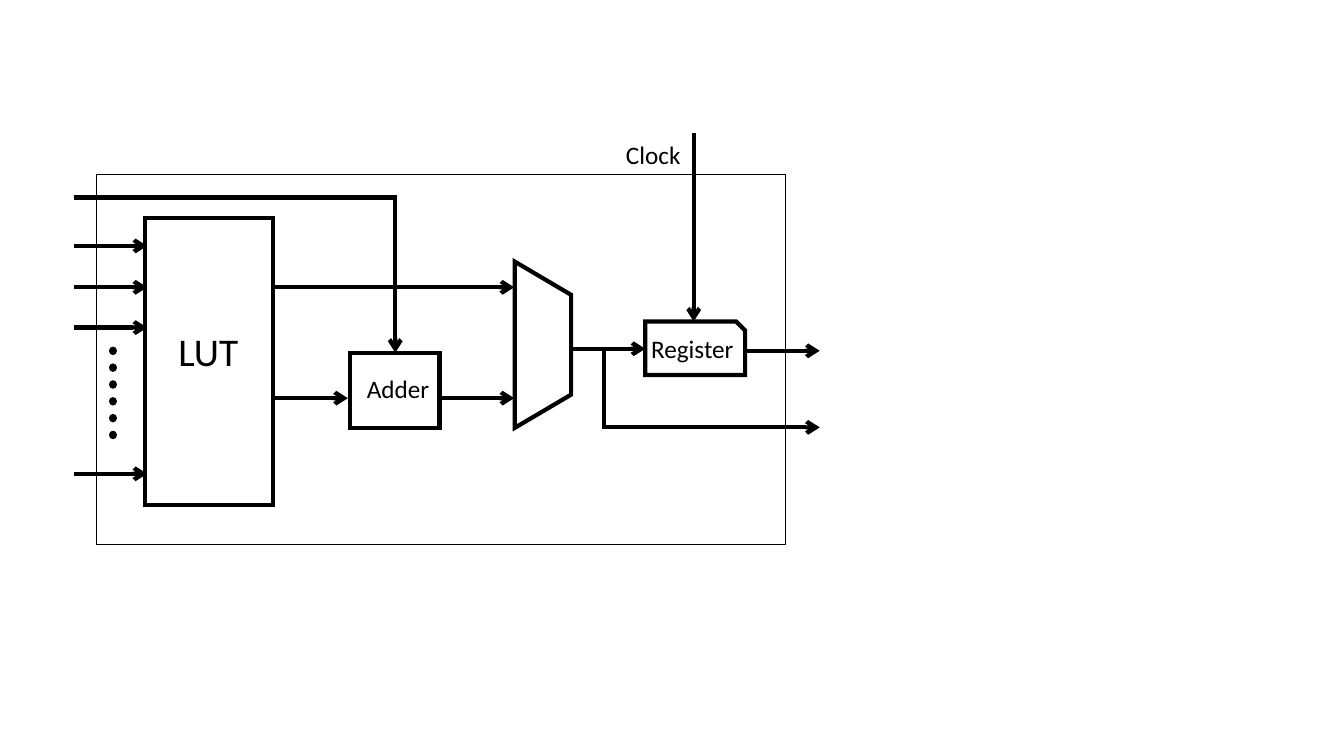
"""Draw a logic cell: LUT, adder, multiplexer and register."""
import pptx
import pptx.dml.color
import pptx.enum.dml
import pptx.enum.shapes
import pptx.enum.text
import pptx.oxml.ns
import pptx.util
from lxml import etree

COLORS = {"ink": "000000"}
SHAPE = pptx.enum.shapes.MSO_SHAPE
CONNECTOR = pptx.enum.shapes.MSO_CONNECTOR
qn = pptx.oxml.ns.qn


class Diagram:
    """Hold the style and the slide; lengths are grid cells of a tenth of an inch."""

    cell = 0.1
    font = "Calibri"
    stroke = 3

    def __init__(self, prs):
        self.slide = prs.slides.add_slide(prs.slide_layouts[6])
        self.ink = pptx.dml.color.RGBColor.from_string(COLORS["ink"])

    def grid(self, *cells):
        return [pptx.util.Inches(n * self.cell) for n in cells]

    def pen(self, sp, width):
        sp.line.color.rgb = self.ink
        sp.line.width = pptx.util.Pt(width)
        return sp.line._get_or_add_ln()

    def box(self, kind, col, row, cols, rows, width=stroke, rotation=0):
        sp = self.slide.shapes.add_shape(kind, *self.grid(col, row, cols, rows))
        sp.shadow.inherit = False
        sp.fill.background()
        sp.rotation = rotation
        etree.SubElement(self.pen(sp, width), qn("a:miter"), lim="800000")

    def label(self, text, col, row, cols, rows, size=18):
        sp = self.slide.shapes.add_textbox(*self.grid(col, row, cols, rows))
        tf = sp.text_frame
        tf.word_wrap = False
        tf.auto_size = pptx.enum.text.MSO_AUTO_SIZE.SHAPE_TO_FIT_TEXT
        r = tf.paragraphs[0].add_run()
        r.text = text
        r.font.name = self.font
        r.font.size = pptx.util.Pt(size)
        r.font.color.rgb = self.ink

    def connector(self, kind, start, end, width=stroke):
        sp = self.slide.shapes.add_connector(kind, *self.grid(*start, *end))
        ln = self.pen(sp, width)
        etree.SubElement(sp._element.spPr, qn("a:effectLst"))
        return sp, ln

    def arrow(self, start, end, kind=CONNECTOR.STRAIGHT):
        sp, ln = self.connector(kind, start, end)
        etree.SubElement(ln, qn("a:miter"), lim="800000")
        etree.SubElement(ln, qn("a:tailEnd"), type="arrow")
        return sp._element.spPr.find(qn("a:prstGeom"))

    def corner_arrow(self, start, end):
        self.arrow(start, end, CONNECTOR.ELBOW).set("prst", "bentConnector2")

    def step_arrow(self, start, end, share):
        geom = self.arrow(start, end, CONNECTOR.ELBOW)
        guides = geom.find(qn("a:avLst"))
        if guides is None:
            guides = etree.SubElement(geom, qn("a:avLst"))
        etree.SubElement(guides, qn("a:gd"), name="adj1", fmla=f"val {round(share * 100000)}")

    def dots(self, start, end, width):
        sp, ln = self.connector(CONNECTOR.STRAIGHT, start, end, width)
        sp.line.dash_style = pptx.enum.dml.MSO_LINE.ROUND_DOT
        ln.set("cap", "rnd")


def main():
    prs = pptx.Presentation()
    prs.slide_width = pptx.util.Inches(13.33)
    prs.slide_height = pptx.util.Inches(7.5)
    d = Diagram(prs)

    input_col, output_col = 7.3, 81.3
    lut_right, mux_left, mux_right = 27.1, 51, 56.6
    upper_row, lower_row, mux_row = 28.5, 39.5, 34.6
    register_left, register_right, register_top = 64, 73.9, 31.9
    adder_left, adder_right, adder_top = 34.7, 43.6, 35

    d.box(SHAPE.RECTANGLE, 9.6, 17.3, 68.3, 36.7, width=1)
    d.box(SHAPE.RECTANGLE, 14.4, 21.6, 12.7, 28.5)
    for row in (24.4, upper_row, 32.5, 47):
        d.arrow((input_col, row), (14.6, row))
    d.dots((11.2, 34.8), (11.2, 44.1), width=6)
    d.label("LUT", 16.7, 32, 8, 5.7, size=28)

    d.arrow((lut_right, upper_row), (mux_left, upper_row))
    d.box(SHAPE.RECTANGLE, adder_left, adder_top, adder_right - adder_left, 7.5)
    d.label("Adder", 35.4, 36.5, 8.3, 4)
    d.corner_arrow((input_col, 19.6), (39.2, adder_top))
    d.arrow((lut_right, lower_row), (34.5, lower_row))
    d.arrow((adder_right, lower_row), (mux_left, lower_row))

    d.box(SHAPE.FLOWCHART_MANUAL_OPERATION, 45.6, 31.4, 16.5, 5.6, rotation=270)
    d.box(SHAPE.SNIP_1_RECTANGLE, register_left, register_top, register_right - register_left, 5.3)
    d.label("Register", 63.6, 32.6, 10.3, 4)
    d.arrow((mux_right, mux_row), (register_left, mux_row))
    d.step_arrow((59.4, mux_row), (output_col, 42.4), share=0.024)
    d.arrow((register_right, 34.8), (output_col, 34.8))
    d.arrow((68.8, 13.2), (68.8, register_top))
    d.label("Clock", 61.1, 13.3, 7.5, 4)

    prs.save("out.pptx")


if __name__ == "__main__":
    main()
